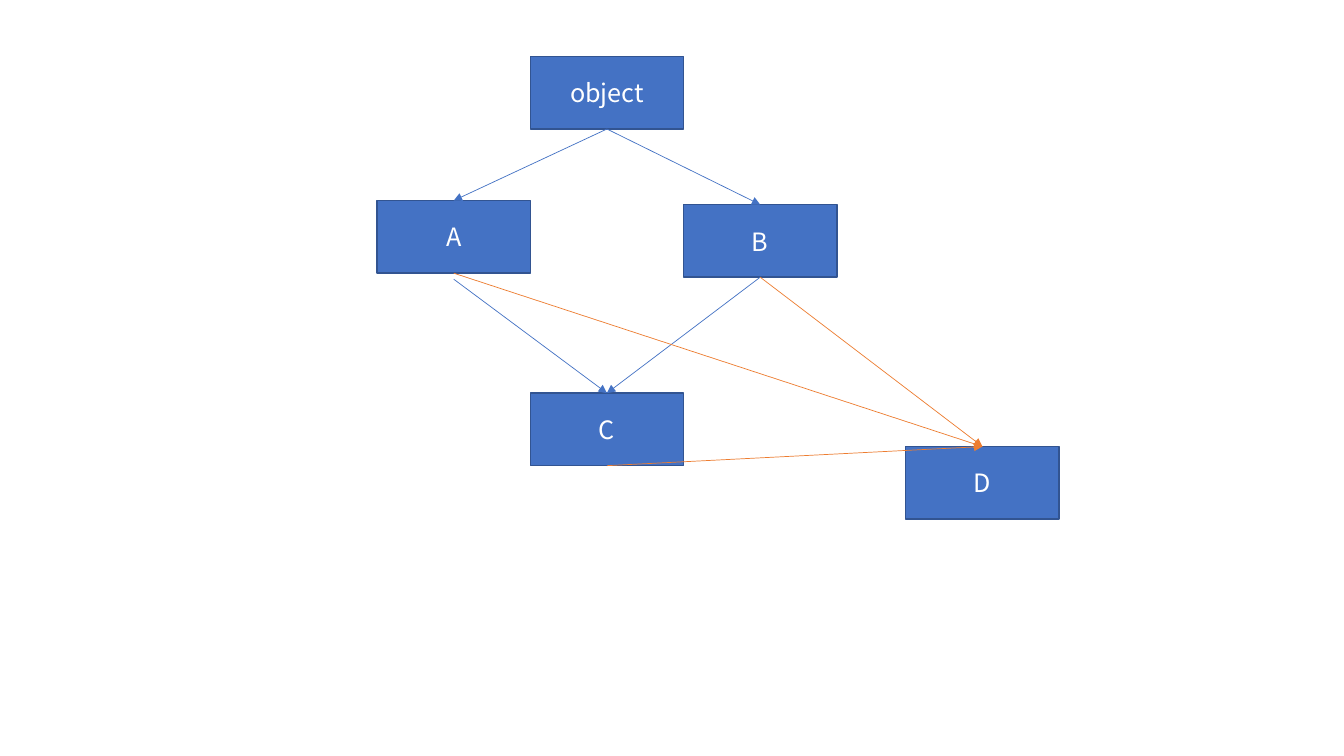
from lxml.etree import SubElement
from pptx import Presentation
from pptx.dml.color import RGBColor
from pptx.enum.shapes import MSO_CONNECTOR, MSO_SHAPE
from pptx.enum.text import MSO_ANCHOR, PP_ALIGN
from pptx.oxml.ns import qn
from pptx.util import Inches, Pt

COLORS = {"node": "4472C4", "border": "325491", "label": "FFFFFF",
          "diamond": "4472C4", "extension": "ED7D31"}
FONT = "Noto Sans CJK SC"
NODE_WIDTH, NODE_HEIGHT = 1.52, 0.72

CLASSES = {
    "object": (1, 0),
    "A": (0, 1.43),
    "B": (2, 1.47),
    "C": (1, 3.34),
    "D": (3.45, 3.87),
}
INHERITANCE = [
    ("object", "A", "diamond", 0),
    ("object", "B", "diamond", 0),
    ("A", "C", "diamond", 0.06),
    ("B", "C", "diamond", 0),
    ("A", "D", "extension", 0),
    ("C", "D", "extension", 0),
    ("B", "D", "extension", 0),
]


def color(key):
    return RGBColor.from_string(COLORS[key])


def add_class(slide, label, left, top):
    node = slide.shapes.add_shape(
        MSO_SHAPE.RECTANGLE, Inches(left), Inches(top),
        Inches(NODE_WIDTH), Inches(NODE_HEIGHT))
    node.shadow.inherit = False
    node.fill.solid()
    node.fill.fore_color.rgb = color("node")
    node.line.color.rgb = color("border")
    node.line.width = Pt(1)
    frame = node.text_frame
    frame.word_wrap = True
    frame.vertical_anchor = MSO_ANCHOR.MIDDLE
    paragraph = frame.paragraphs[0]
    paragraph.alignment = PP_ALIGN.CENTER
    run = paragraph.add_run()
    run.text = label
    run.font.size = Pt(18)
    run.font.name = FONT
    run.font.color.rgb = color("label")
    SubElement(run.font._element, qn("a:ea")).set("typeface", FONT)
    return node


def add_inheritance(slide, parent, child, kind, gap):
    arrow = slide.shapes.add_connector(
        MSO_CONNECTOR.STRAIGHT,
        parent.left + parent.width // 2,
        parent.top + parent.height + Inches(gap),
        child.left + child.width // 2, child.top)
    arrow.line.color.rgb = color(kind)
    arrow.line.width = Pt(0.5)
    SubElement(arrow.line._get_or_add_ln(), qn("a:tailEnd")).set("type", "triangle")
    SubElement(arrow._element.spPr, qn("a:effectLst"))


def add_class_diagram(slide, left, top):
    nodes = {label: add_class(slide, label, left + column * NODE_WIDTH, top + drop)
             for label, (column, drop) in CLASSES.items()}
    for parent, child, kind, gap in INHERITANCE:
        add_inheritance(slide, nodes[parent], nodes[child], kind, gap)


def main():
    deck = Presentation()
    deck.slide_width = Inches(13.33)
    deck.slide_height = Inches(7.5)
    slide = deck.slides.add_slide(deck.slide_layouts[6])
    add_class_diagram(slide, left=3.74, top=0.56)
    deck.save("out.pptx")


if __name__ == "__main__":
    main()
